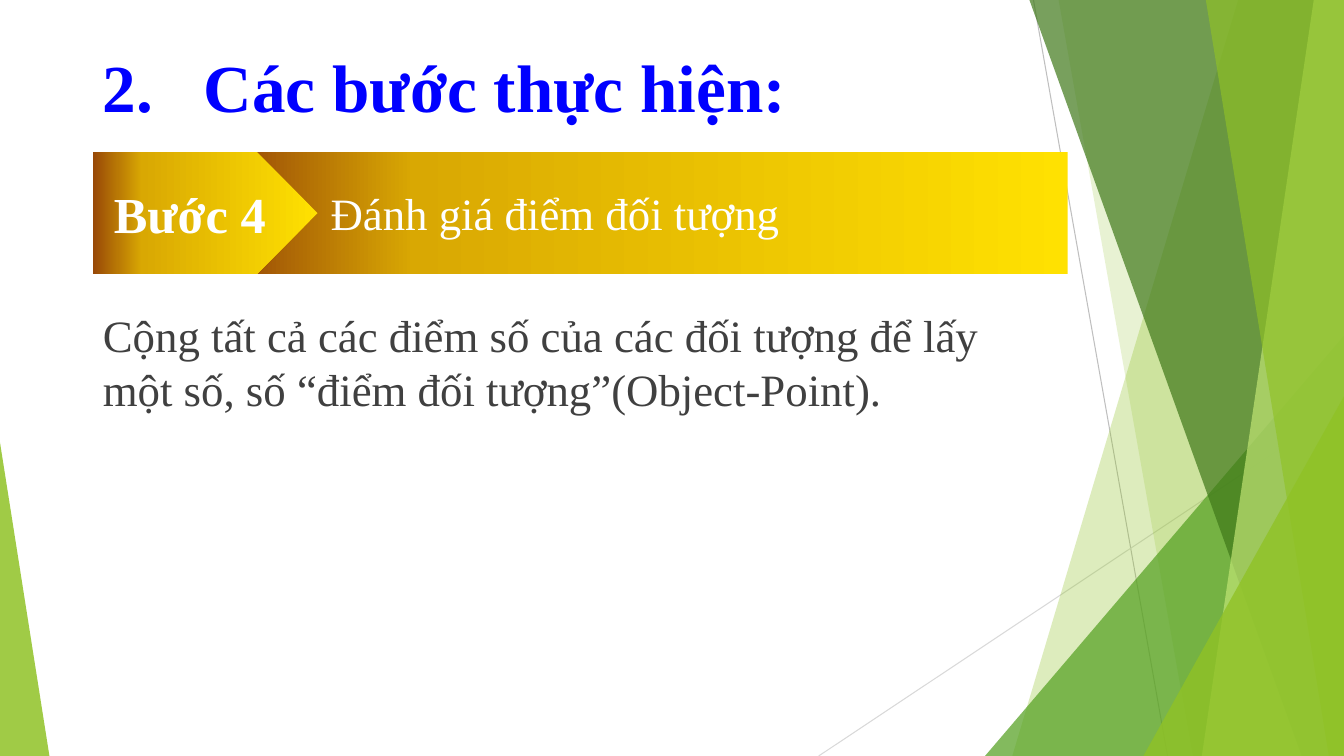
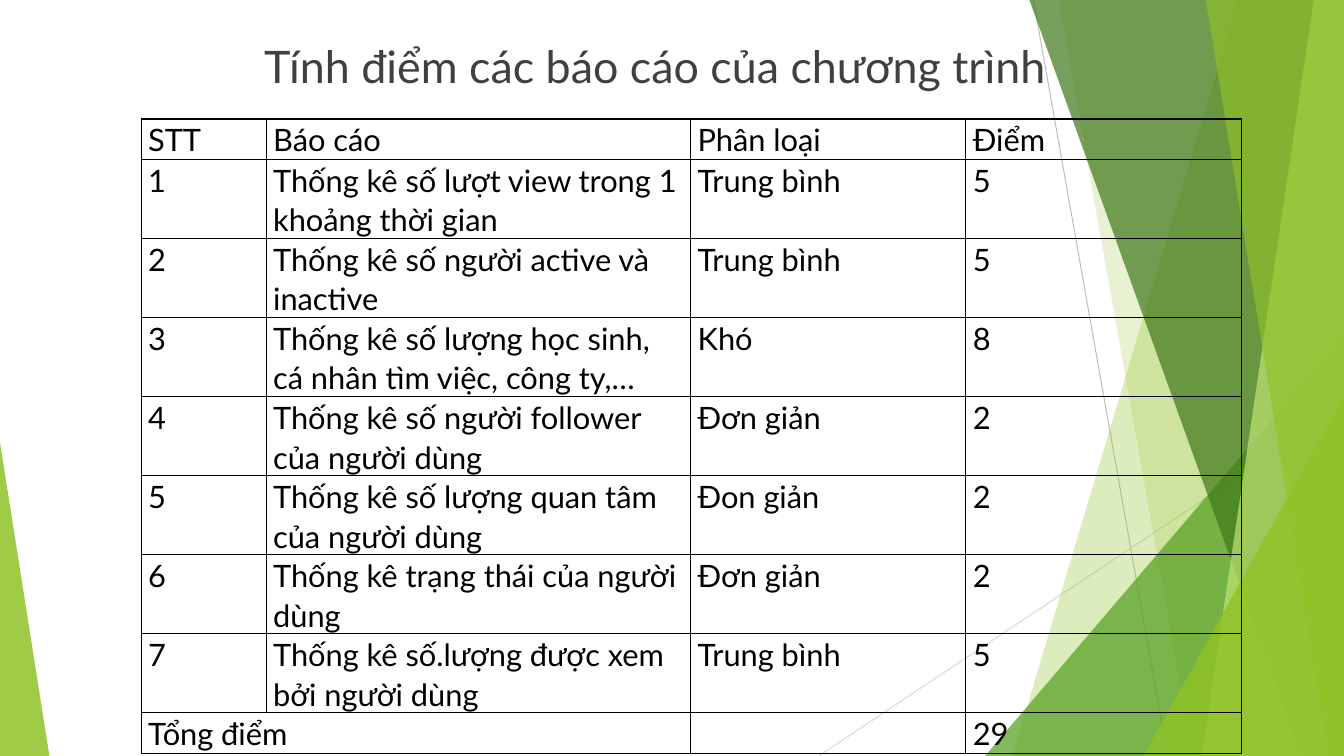
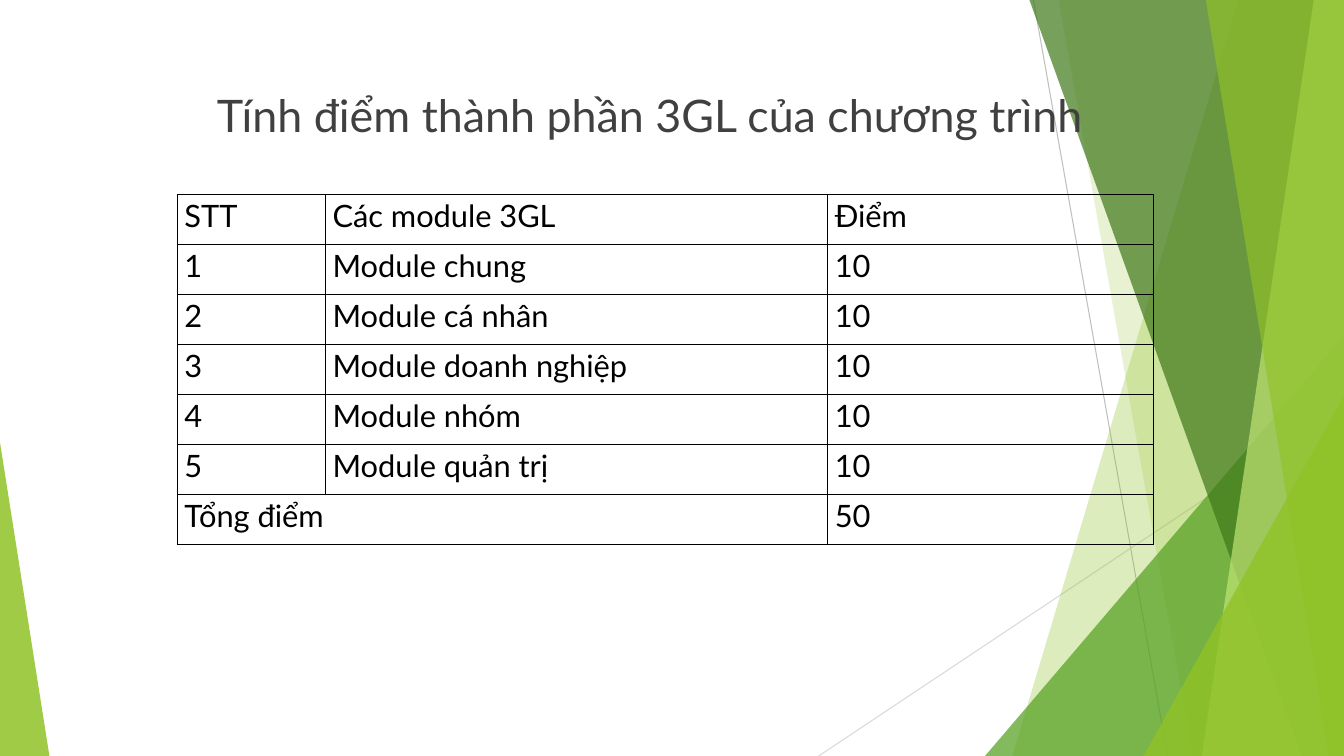
"""Build three slides on object-point scoring over a shared green facet backdrop."""
from dataclasses import dataclass

from pptx import Presentation
from pptx.dml.color import RGBColor
from pptx.enum.shapes import MSO_CONNECTOR, MSO_SHAPE
from pptx.enum.text import MSO_ANCHOR, MSO_AUTO_SIZE, PP_ALIGN
from pptx.oxml import parse_xml
from pptx.oxml.ns import nsdecls, qn
from pptx.util import Inches, Pt


@dataclass(frozen=True)
class Theme:
    """Hold colours, fonts and type sizes."""
    blue: str = "0000FF"
    white: str = "FFFFFF"
    black: str = "000000"
    grey: str = "404040"
    rule: str = "BFBFBF"
    pale: str = "D9D9D9"
    lime: str = "90C226"
    leaf: str = "54A021"
    pine: str = "3F7819"
    mint: str = "C0E474"
    gold: tuple = ((0, "FFE101"), (78, "D9A803"), (100, "984807"))
    serif: str = "Times New Roman"
    sans: str = "Lato"
    head: int = 48
    step: int = 36
    body: int = 32
    cell: int = 22


T = Theme()
WIDE, HIGH = 13.33, 7.5

LINES = [
    (10.25, 0, 11.58, HIGH, T.rule),
    (WIDE, 4.03, 8.12, HIGH, T.pale),
]
FACETS = [
    ("sail", (12.28, 10.04), T.lime, 30),
    ("sail", (10.5, 11.83), T.lime, 20),
    ("peak", (9.77, 3.33, 3.56, 4.17, 1), T.leaf, 72),
    ("sail", (10.21, 12.91), T.pine, 70),
    ("sail", (13.03, 11.92), T.mint, 70),
    ("sail", (11.96, 13.18), T.lime, 65),
    ("peak", (11.34, 3.93, 1.99, 3.57, 1), T.lime, 80),
    ("peak", (0, 4.39, 0.49, 3.11, 0), T.lime, 85),
]

STEP = {
    "title": "Các bước thực hiện:",
    "label": "Bước 4",
    "name": "Đánh giá điểm đối tượng",
    "body": "Cộng tất cả các điểm số của các đối tượng để lấy một số, "
            "số “điểm đối tượng”(Object-Point).",
}
SCORES = [
    {
        "title": "Tính điểm các báo cáo của chương trình",
        "box": (2.52, 0.33, 8.26, 0.62),
        "at": (1.4, 1.18),
        "cols": (1.24, 4.21, 2.73, 2.73),
        "heights": [0.4] + [0.78] * 7 + [0.4],
        "rows": [
            ("STT", "Báo cáo", "Phân loại", "Điểm"),
            ("1", "Thống kê số lượt view trong 1 khoảng thời gian", "Trung bình", "5"),
            ("2", "Thống kê số người active và inactive", "Trung bình", "5"),
            ("3", "Thống kê số lượng học sinh, cá nhân tìm việc, công ty,…", "Khó", "8"),
            ("4", "Thống kê số người follower của người dùng", "Đơn giản", "2"),
            ("5", "Thống kê số lượng quan tâm của người dùng", "Đon giản", "2"),
            ("6", "Thống kê trạng thái của người dùng", "Đơn giản", "2"),
            ("7", "Thống kê số.lượng được xem bởi người dùng", "Trung bình", "5"),
            ("Tổng điểm", None, "", "29"),
        ],
    },
    {
        "title": "Tính điểm thành phần 3GL của chương trình",
        "box": (2.05, 0.82, 9.06, 0.62),
        "at": (1.76, 1.93),
        "cols": (1.47, 4.98, 3.23),
        "heights": [3.47 / 7] * 7,
        "rows": [
            ("STT", "Các module 3GL", "Điểm"),
            ("1", "Module chung", "10"),
            ("2", "Module cá nhân", "10"),
            ("3", "Module doanh nghiệp", "10"),
            ("4", "Module nhóm", "10"),
            ("5", "Module quản trị", "10"),
            ("Tổng điểm", None, "50"),
        ],
    },
]


def inch(*nums):
    """Turn numbers into lengths."""
    return [Inches(num) for num in nums]


def write(frame, text, size, color, font=T.sans, bold=False, align=PP_ALIGN.LEFT,
          anchor=None, space=None, hang=0, mark=None):
    """Put one formatted paragraph in a text frame."""
    frame.word_wrap = True
    if anchor is not None:
        frame.vertical_anchor = anchor
    para = frame.paragraphs[0]
    para.alignment = align
    para.space_before = Pt(0)
    if space:
        para.line_spacing = space
    if mark:
        props = para._p.get_or_add_pPr()
        props.set("marL", str(Inches(hang)))
        props.set("indent", str(-Inches(hang)))
        props.append(parse_xml(f"<a:{mark} {nsdecls('a')}/>"))
    run = para.add_run()
    run.text = text
    run.font.name, run.font.size, run.font.bold = font, Pt(size), bold
    run.font.color.rgb = RGBColor.from_string(color)


def place(holder, box, text, size, color, **style):
    """Move a placeholder and fill it from the top."""
    holder.left, holder.top, holder.width, holder.height = inch(*box)
    holder.text_frame.auto_size = MSO_AUTO_SIZE.NONE
    write(holder.text_frame, text, size, color, anchor=MSO_ANCHOR.TOP, **style)


def plain(shape):
    """Strip outline and shadow."""
    shape.shadow.inherit = False
    shape.line.fill.background()
    return shape


def rule(shapes, left, top, right, low, color):
    """Draw a thin line."""
    line = shapes.add_connector(MSO_CONNECTOR.STRAIGHT, *inch(left, top, right, low))
    line.line.color.rgb = RGBColor.from_string(color)
    line.line.width = Pt(0.75)
    line.element.spPr.append(parse_xml(f"<a:effectLst {nsdecls('a')}/>"))
    return line


def facet(shapes, kind, dims, color, alpha):
    """Draw one see-through facet."""
    if kind == "sail":
        top, low = dims
        path = shapes.build_freeform(*inch(top, 0))
        path.add_line_segments([inch(WIDE, 0), inch(WIDE, HIGH), inch(low, HIGH)])
        shape = path.convert_to_shape()
    else:
        *box, apex = dims
        shape = shapes.add_shape(MSO_SHAPE.ISOSCELES_TRIANGLE, *inch(*box))
        shape.adjustments[0] = apex
    plain(shape).fill.solid()
    shape.fill.fore_color.rgb = RGBColor.from_string(color)
    tint = shape.element.spPr.find(qn("a:solidFill"))[0]
    tint.append(parse_xml(f'<a:alpha {nsdecls("a")} val="{alpha * 1000}"/>'))
    return shape


def backdrop(master, slide):
    """Draw the backdrop and move it to the master."""
    parts = [rule(slide.shapes, *line) for line in LINES]
    parts += [facet(slide.shapes, *item) for item in FACETS]
    for spot, part in enumerate(parts, 2):
        master.shapes.element.insert(spot, part.element)


def plate(shapes, box, point):
    """Draw a gold arrow plate."""
    shape = plain(shapes.add_shape(MSO_SHAPE.PENTAGON, *inch(*box)))
    shape.adjustments[0] = point
    shape.fill.background()
    stops = "".join(f'<a:gs pos="{pos * 1000}"><a:srgbClr val="{color}"/></a:gs>'
                    for pos, color in T.gold)
    props = shape.element.spPr
    props.replace(props.find(qn("a:noFill")), parse_xml(
        f'<a:gradFill {nsdecls("a")} rotWithShape="1"><a:gsLst>{stops}</a:gsLst>'
        '<a:lin ang="10800000" scaled="1"/></a:gradFill>'))
    return shape


def border(cell):
    """Draw black cell edges."""
    props = cell._tc.get_or_add_tcPr()
    for spot, side in enumerate("LRTB"):
        props.insert(spot, parse_xml(
            f'<a:ln{side} {nsdecls("a")} w="{Pt(1)}"><a:solidFill>'
            f'<a:srgbClr val="{T.black}"/></a:solidFill></a:ln{side}>'))


def grid(shapes, data):
    """Draw a bordered score table."""
    rows, cols, heights = data["rows"], data["cols"], data["heights"]
    size = inch(*data["at"], sum(cols), sum(heights))
    table = shapes.add_table(len(rows), len(cols), *size).table
    table.first_row = table.horz_banding = False
    for col, width in zip(table.columns, cols):
        col.width = Inches(width)
    for num, (row, height) in enumerate(zip(rows, heights)):
        table.rows[num].height = Inches(height)
        for pos, text in enumerate(row):
            cell = table.cell(num, pos)
            cell.fill.background()
            border(cell)
            cell.margin_left = cell.margin_right = Inches(0.07)
            cell.margin_top = cell.margin_bottom = 0
            if text is None:
                table.cell(num, pos - 1).merge(cell)
            elif text:
                write(cell.text_frame, text, T.cell, T.black, space=1.07)


def step(slide):
    """Fill the step slide."""
    shapes = slide.shapes
    place(shapes.title, (0.92, 0.4, 11.5, 1.45), STEP["title"], T.head, T.blue,
          font=T.serif, bold=True, hang=1, mark='buAutoNum type="arabicPeriod" startAt="2"')
    place(slide.placeholders[1], (0.92, 3, 9.4, 3.09), STEP["body"], T.body, T.grey,
          font=T.serif, mark="buNone")
    plate(shapes, (2.28, 1.51, 8.31, 1.21), 0)
    label = plate(shapes, (0.92, 1.51, 2.23, 1.21), 0.5)
    write(label.text_frame, STEP["label"], T.step, T.white, font=T.serif, bold=True,
          align=PP_ALIGN.CENTER, anchor=MSO_ANCHOR.MIDDLE)
    name = shapes.add_textbox(*inch(3.18, 1.79, 7.41, 0.64))
    write(name.text_frame, STEP["name"], T.body, T.white, font=T.serif)


def main():
    """Build and save the deck."""
    deck = Presentation()
    deck.slide_width, deck.slide_height = inch(WIDE, HIGH)
    first = deck.slides.add_slide(deck.slide_layouts[1])
    backdrop(deck.slide_master, first)
    step(first)
    for data in SCORES:
        slide = deck.slides.add_slide(deck.slide_layouts[5])
        place(slide.shapes.title, data["box"], data["title"], T.body, T.grey)
        grid(slide.shapes, data)
    deck.save("out.pptx")


if __name__ == "__main__":
    main()
